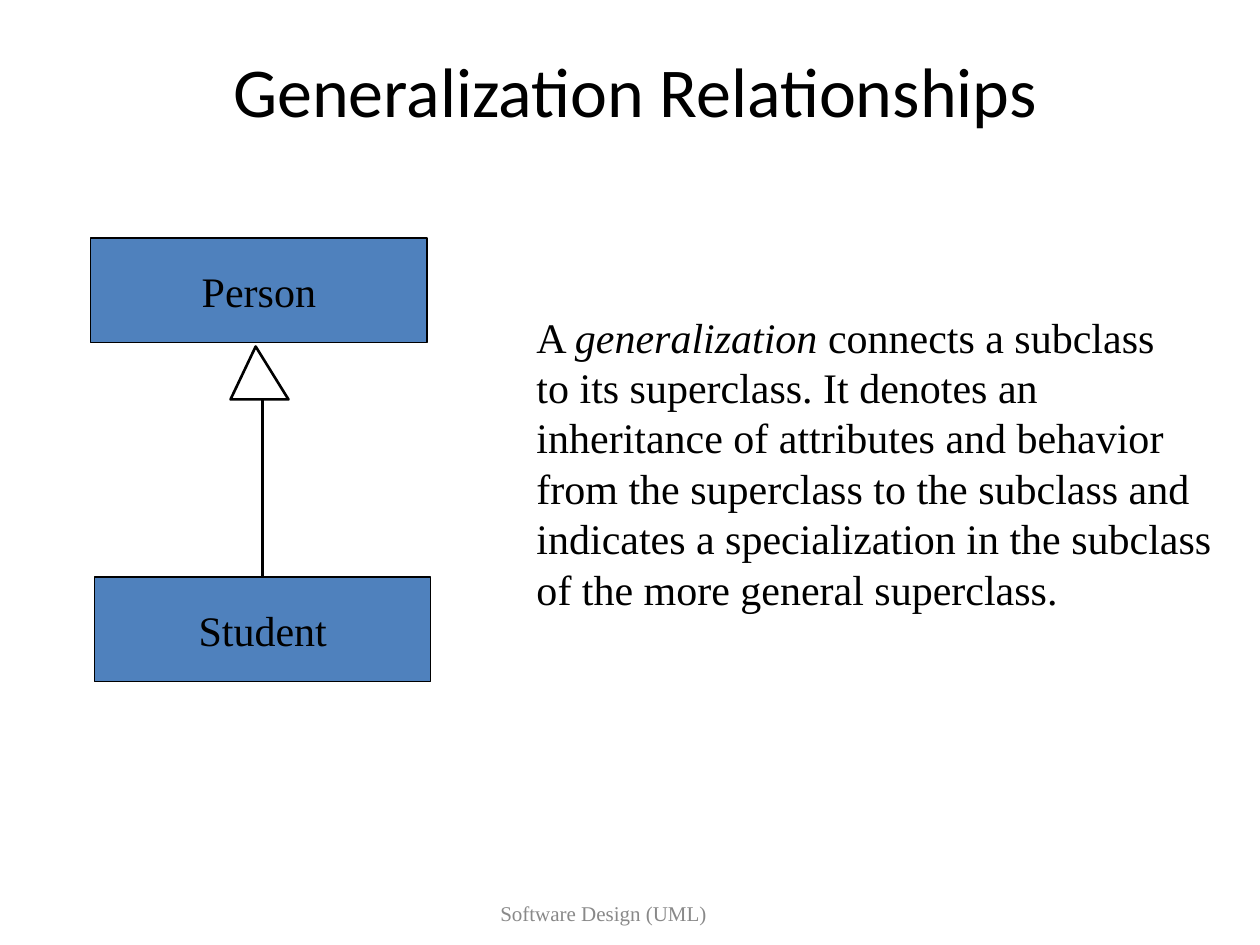
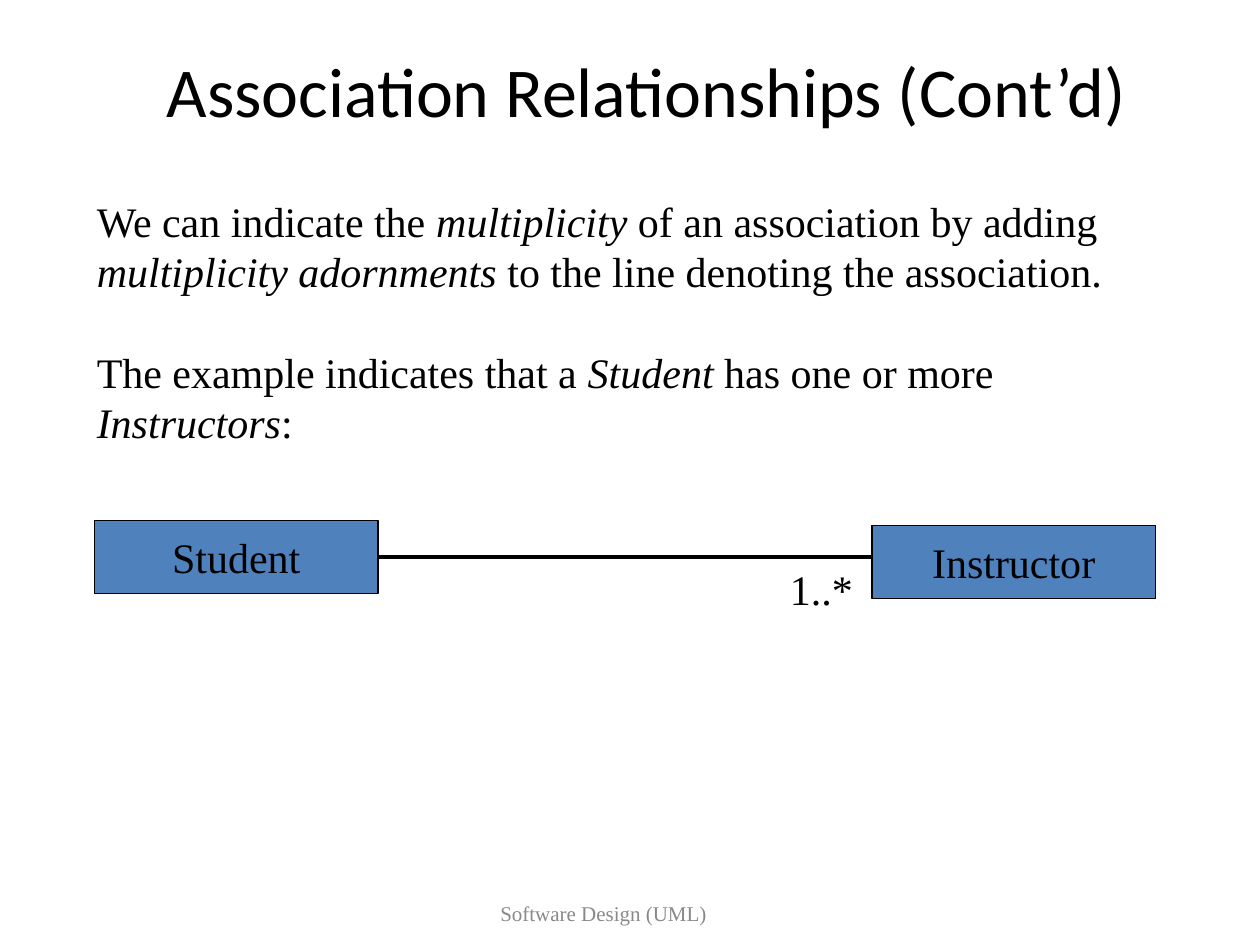
"""Build two slides on UML generalization and association relationships."""
import pptx
import pptx.dml.color
import pptx.enum.shapes
import pptx.enum.text
import pptx.oxml
import pptx.util
from pptx.oxml.ns import qn

Inches = pptx.util.Inches
Pt = pptx.util.Pt
ANCHOR = pptx.enum.text.MSO_ANCHOR
ALIGN = pptx.enum.text.PP_ALIGN
SHAPE = pptx.enum.shapes.MSO_SHAPE
LINE = pptx.enum.shapes.MSO_CONNECTOR.STRAIGHT
BLACK, WHITE, BLUE, GRAY = "000000", "FFFFFF", "4F81BD", "898989"
SERIF = "Times New Roman"


def paint(shape, fill, width):
    """Give a shape its black outline, its fill if any, and no shadow."""
    shape.line.color.rgb = pptx.dml.color.RGBColor.from_string(BLACK)
    shape.line.width = Pt(width)
    if fill:
        shape.shadow.inherit = False
        shape.fill.solid()
        shape.fill.fore_color.rgb = pptx.dml.color.RGBColor.from_string(fill)
    else:
        props = shape.element.find(qn("p:spPr"))
        props.append(pptx.oxml.parse_xml(
            '<a:effectLst xmlns:a="http://schemas.openxmlformats.org/drawingml/2006/main"/>'))


def write(shape, lines, size=24, face=SERIF, color=BLACK, align=ALIGN.CENTER, wrap=True):
    """Fill a shape with lines of text, where *_ marks_* switch italics on and off."""
    frame = shape.text_frame
    frame.word_wrap = wrap
    frame.text = "\n".join(lines).replace("_", "")
    for para, line in zip(frame.paragraphs, lines):
        para.alignment = align
        parts = line.split("_")
        para.runs[0].text = parts[0]
        for part in parts[1:]:
            para.add_run().text = part
        for i, run in enumerate(para.runs):
            run.font.size = Pt(size)
            run.font.name = face
            run.font.italic = i % 2 == 1
            run.font.color.rgb = pptx.dml.color.RGBColor.from_string(color)


deck = pptx.Presentation()
deck.slide_width, deck.slide_height = Inches(10), Inches(7.5)

pages = [
    ("Generalization Relationships", 0.75, 8.58,
     [("Person", 0.72, 1.89, 2.67, 0.83), ("Student", 0.75, 4.58, 2.67, 0.83)],
     (4.16, 2.42, 5.56, 2.5), False,
     ["A _generalization_ connects a subclass",
      "to its superclass. It denotes an",
      "inheritance of attributes and behavior",
      "from the superclass to the subclass and",
      "indicates a specialization in the subclass",
      "of the more general superclass."]),
    ("Association Relationships (Cont’d)", 0.67, 8.92,
     [("Instructor", 6.92, 4.17, 2.25, 0.58), ("Student", 0.75, 4.13, 2.25, 0.58)],
     (0.67, 1.5, 8.87, 2.1), True,
     ["We can indicate the _multiplicity_ of an association by adding "
      "_multiplicity adornments_ to the line denoting the association.",
      "The example indicates that a _Student_ has one or more _Instructors_:"]),
]

made = []
for title, left, width, boxes, place, wrap, lines in pages:
    slide = deck.slides.add_slide(deck.slide_layouts[5])
    head = slide.shapes.title
    head.left, head.top = Inches(left), Inches(0.42)
    head.width, head.height = Inches(width), Inches(0.58)
    write(head, [title], 40, "Calibri")
    head.text_frame.vertical_anchor = ANCHOR.MIDDLE

    foot = slide.shapes.add_textbox(Inches(2.58), Inches(7), Inches(4.42), Inches(0.5))
    write(foot, ["Software Design (UML)"], 12, color=GRAY)
    foot.text_frame.vertical_anchor = ANCHOR.MIDDLE

    note = slide.shapes.add_textbox(*map(Inches, place))
    write(note, lines, align=ALIGN.LEFT, wrap=wrap)
    for para in note.text_frame.paragraphs:
        para.line_spacing = Pt(28.8)
    if wrap:
        note.text_frame.paragraphs[1].space_before = Pt(28.8)

    for name, *spot in boxes:
        box = slide.shapes.add_shape(SHAPE.RECTANGLE, *map(Inches, spot))
        paint(box, BLUE, 0.75)
        write(box, [name], wrap=False)
        box.text_frame.vertical_anchor = ANCHOR.MIDDLE
    made.append((slide, box))

slide, child = made[0]
mid = child.left + child.width // 2
stem = slide.shapes.add_connector(LINE, mid, child.top, mid, Inches(3.17))
stem.begin_connect(child, 0)
paint(stem, None, 1.5)
path = slide.shapes.build_freeform(Inches(2.03), Inches(2.75))
path.add_line_segments([(Inches(x), Inches(3.17)) for x in (1.83, 2.29)], close=True)
paint(path.convert_to_shape(), WHITE, 1.5)

slide, child = made[1]
link = slide.shapes.add_connector(LINE, Inches(3), Inches(4.42), Inches(6.92), Inches(4.42))
link.begin_connect(child, 3)
paint(link, None, 2.25)
count = slide.shapes.add_textbox(Inches(6.17), Inches(4.42), Inches(0.75), Inches(0.5))
write(count, ["1..*"], align=ALIGN.LEFT)

deck.save("out.pptx")
